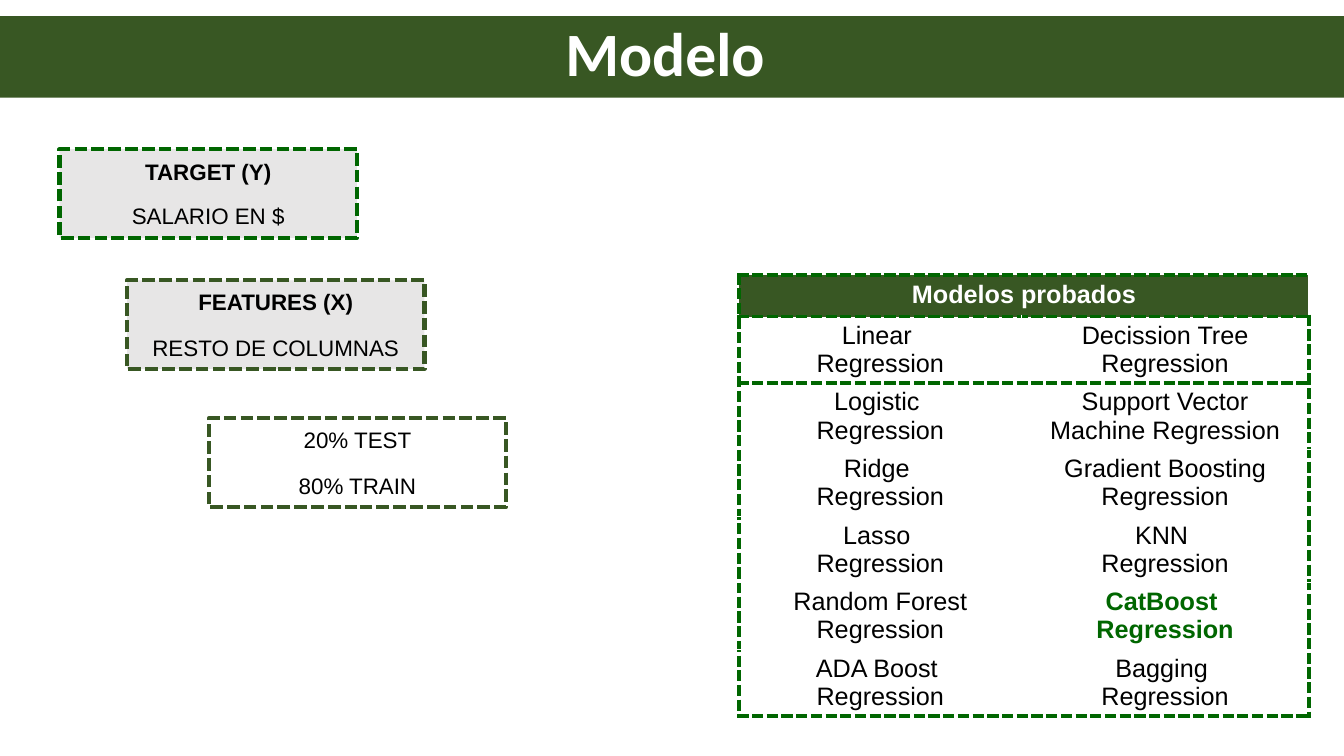
from dataclasses import dataclass

from lxml import etree
from pptx import Presentation
from pptx import util as u
from pptx.dml import color
from pptx.enum import dml, shapes, text
from pptx.oxml import ns

WIDE, HIGH = 13.33, 7.5
DARK, GREEN, GREY, WHITE, BLACK = "385723", "006600", "E7E6E6", "FFFFFF", "000000"


@dataclass
class Box:
    left: float
    top: float
    fill: str
    edge: str
    head: str
    body: str
    bold: bool
    gap: float


BOXES = [
    Box(4.43, 19.73, GREY, GREEN, "TARGET (Y)", "SALARIO EN $", True, 12),
    Box(9.45, 37.07, GREY, DARK, "FEATURES (X)", "RESTO DE COLUMNAS", True, 14),
    Box(15.53, 55.33, WHITE, DARK, "20% TEST", "80% TRAIN", False, 14),
]
MODELS = [
    ("Linear \nRegression", "Decission Tree Regression"),
    ("Logistic \nRegression", "Support Vector Machine Regression"),
    ("Ridge \nRegression", "Gradient Boosting Regression"),
    ("Lasso \nRegression", "KNN \nRegression"),
    ("Random Forest Regression", "CatBoost \nRegression"),
    ("ADA Boost \nRegression", "Bagging \nRegression"),
]
BEST = "CatBoost"
COLS = (21, 21.38)
ROWS = (5.47,) + (8.8,) * len(MODELS)


def across(share: float) -> int:
    return u.Inches(WIDE * share / 100)


def down(share: float) -> int:
    return u.Inches(HIGH * share / 100)


def paint(part, tone: str) -> None:
    if hasattr(part, "solid"):
        part.solid()
        part = part.fore_color
    part.rgb = color.RGBColor.from_string(tone)


def write(para, words: str, *, size: float, tone: str = BLACK, bold: bool = False,
          font: str = "Arial", before: float = 0) -> None:
    para.alignment = text.PP_ALIGN.CENTER
    para.space_before = u.Pt(before)
    run = para.add_run()
    run.text = words
    run.font.name, run.font.size, run.font.bold = font, u.Pt(size), bold
    paint(run.font.color, tone)


def add_title(slide) -> None:
    title = slide.shapes.title
    title.left, title.top = 0, down(2.13)
    title.width, title.height = across(100), down(10.8)
    paint(title.fill, DARK)
    frame = title.text_frame
    frame.auto_size = text.MSO_AUTO_SIZE.NONE
    frame.vertical_anchor = text.MSO_ANCHOR.MIDDLE
    para = frame.paragraphs[0]
    write(para, "Modelo ", size=44, tone=WHITE, bold=True, font="Calibri")
    para.line_spacing = 0.9


def add_box(slide, box: Box) -> None:
    shape = slide.shapes.add_shape(shapes.MSO_SHAPE.RECTANGLE, across(box.left),
                                   down(box.top), across(22.13), down(11.73))
    shape.shadow.inherit = False
    paint(shape.fill, box.fill)
    paint(shape.line.fill, box.edge)
    shape.line.width = u.Pt(3)
    shape.line.dash_style = dml.MSO_LINE.SQUARE_DOT
    frame = shape.text_frame
    frame.word_wrap = True
    frame.vertical_anchor = text.MSO_ANCHOR.MIDDLE
    write(frame.paragraphs[0], box.head, size=16, bold=box.bold)
    write(frame.add_paragraph(), box.body, size=16, before=box.gap)


def edge(cell, sides: dict[str, bool]) -> None:
    props = cell._tc.get_or_add_tcPr()
    for spot, (side, dashed) in enumerate(sides.items()):
        line = etree.Element(ns.qn(f"a:ln{side}"), w=str(u.Pt(3 if dashed else 1)))
        fill = etree.SubElement(line, ns.qn("a:solidFill"))
        etree.SubElement(fill, ns.qn("a:srgbClr"), val=GREEN if dashed else WHITE)
        etree.SubElement(line, ns.qn("a:prstDash"), val="sysDash" if dashed else "solid")
        props.insert(spot, line)


def add_models(slide) -> None:
    table = slide.shapes.add_table(len(ROWS), len(COLS), across(55), down(36.4),
                                   across(sum(COLS)), down(sum(ROWS))).table
    for col, share in zip(table.columns, COLS):
        col.width = across(share)
    for row, share in zip(table.rows, ROWS):
        row.height = down(share)
    last = len(ROWS) - 1
    for r in range(len(ROWS)):
        for c in range(len(COLS)):
            cell = table.cell(r, c)
            paint(cell.fill, WHITE if r else DARK)
            edge(cell, {"L": c == 0, "R": c == 1, "T": r < 3, "B": r in (0, 1, last)})
            if r:
                words = MODELS[r - 1][c]
                best = words.startswith(BEST)
                for n, part in enumerate(words.split("\n")):
                    frame = cell.text_frame
                    para = frame.add_paragraph() if n else frame.paragraphs[0]
                    write(para, part, size=18, tone=GREEN if best else BLACK, bold=best)
    head = table.cell(0, 0)
    head.merge(table.cell(0, 1))
    write(head.text_frame.paragraphs[0], "Modelos probados", size=18, tone=WHITE, bold=True)


def main() -> None:
    deck = Presentation()
    deck.slide_width, deck.slide_height = across(100), down(100)
    slide = deck.slides.add_slide(deck.slide_layouts[5])
    add_title(slide)
    for box in BOXES:
        add_box(slide, box)
    add_models(slide)
    deck.save("out.pptx")


if __name__ == "__main__":
    main()
